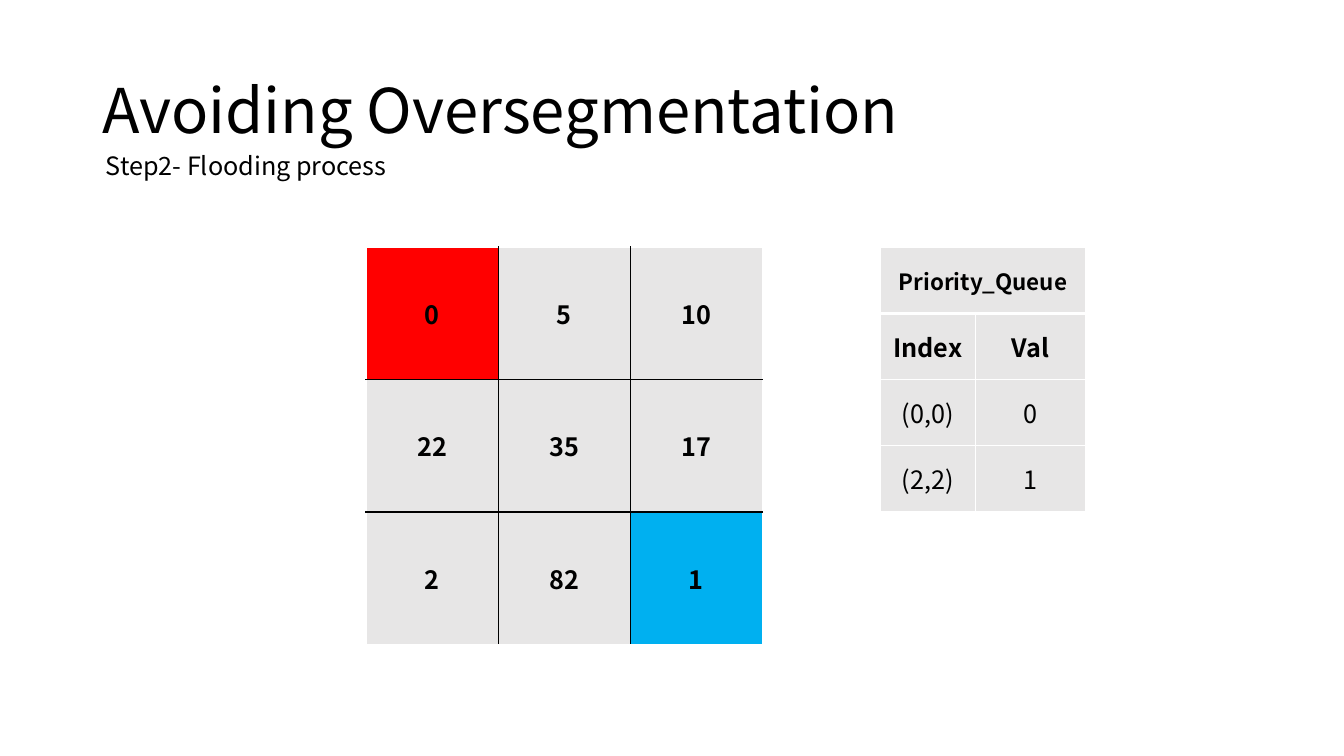
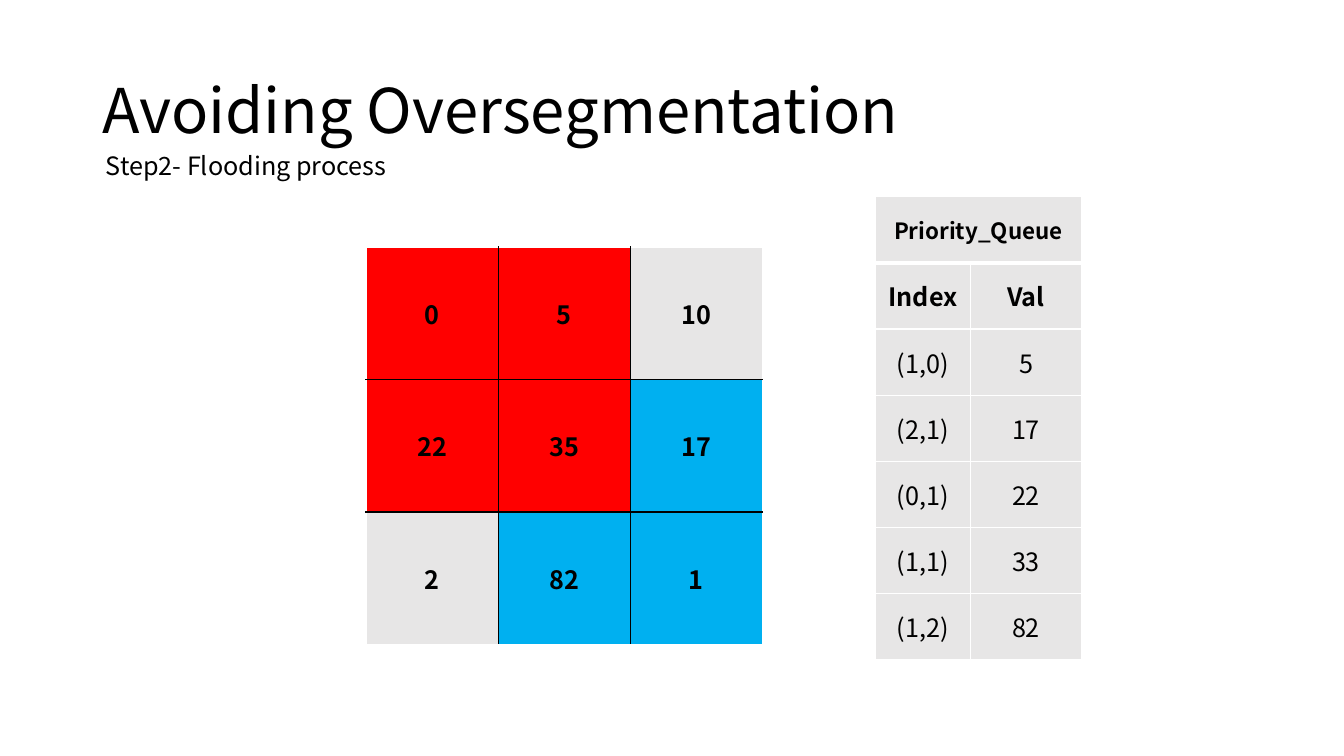
"""Build two slides that show the flooding step with a pixel grid and its priority queue."""
from lxml.etree import SubElement
from pptx import Presentation
from pptx.dml.color import RGBColor
from pptx.enum.text import MSO_ANCHOR, MSO_AUTO_SIZE, PP_ALIGN
from pptx.oxml.ns import qn
from pptx.util import Pt

FONT = "Noto Sans CJK KR"
COLORS = {"text": "000000", "white": "FFFFFF", "plain": "E7E6E6",
          "red": "FF0000", "blue": "00B0F0"}
REGIONS = {"-": "plain", "R": "red", "B": "blue"}

TITLE = "Avoiding Oversegmentation"
SUBTITLE = "Step2- Flooding process"
PIXELS = [[0, 5, 10], [22, 35, 17], [2, 82, 1]]
QUEUE_TITLE = "Priority_Queue"
QUEUE_HEADINGS = ("Index", "Val")
STEPS = [
    {"regions": ["R--", "---", "--B"],
     "queue": [("(0,0)", 0), ("(2,2)", 1)],
     "queue_at": (628.6, 176.6)},
    {"regions": ["RR-", "RRB", "-BB"],
     "queue": [("(1,0)", 5), ("(2,1)", 17), ("(0,1)", 22), ("(1,1)", 33), ("(1,2)", 82)],
     "queue_at": (625.2, 140.4)},
]

TITLE_BOX = (66, 28.8, 828, 104.4)
SUBTITLE_BOX = (68.4, 103.7, 447, 29.1)
GRID_AT = (261.4, 176.4)
GRID_WIDTHS, GRID_ROW = [94.4] * 3, 94.7
QUEUE_WIDTHS, QUEUE_ROW = [68.2, 79], 47.3


def style_paragraph(paragraph, size, bold=False, align=PP_ALIGN.LEFT):
    paragraph.alignment = align
    font = paragraph.font
    font.name, font.size, font.bold = FONT, Pt(size), bold
    font.color.rgb = RGBColor.from_string(COLORS["text"])


def set_border(cell, side, color, width):
    line = SubElement(cell._tc.get_or_add_tcPr(), qn(f"a:ln{side}"), w=str(Pt(width)))
    fill = SubElement(line, qn("a:solidFill"))
    SubElement(fill, qn("a:srgbClr"), val=COLORS[color])


def style_cell(cell, text, size, bold, fill, borders):
    cell.text = str(text)
    cell.vertical_anchor = MSO_ANCHOR.MIDDLE
    style_paragraph(cell.text_frame.paragraphs[0], size, bold, PP_ALIGN.CENTER)
    for side, (color, width) in borders.items():
        set_border(cell, side, color, width)
    cell.fill.solid()
    cell.fill.fore_color.rgb = RGBColor.from_string(COLORS[fill])


def add_plain_table(slide, position, widths, row_height, row_count):
    left, top = position
    table = slide.shapes.add_table(row_count, len(widths), Pt(left), Pt(top),
                                   Pt(sum(widths)), Pt(row_height * row_count)).table
    table.first_row = table.horz_banding = False
    for column, width in zip(table.columns, widths):
        column.width = Pt(width)
    for row in table.rows:
        row.height = Pt(row_height)
    return table


def add_pixel_grid(slide, regions):
    table = add_plain_table(slide, GRID_AT, GRID_WIDTHS, GRID_ROW, len(PIXELS))
    last = len(PIXELS) - 1
    for r, values in enumerate(PIXELS):
        for c, value in enumerate(values):
            inner = {"L": c > 0, "R": c < last, "T": r > 0, "B": r < last}
            borders = {side: ("text", 1) for side, drawn in inner.items() if drawn}
            style_cell(table.cell(r, c), value, 18, True, REGIONS[regions[r][c]], borders)


def add_queue(slide, entries, position):
    rows = [(QUEUE_TITLE, ""), QUEUE_HEADINGS, *entries]
    table = add_plain_table(slide, position, QUEUE_WIDTHS, QUEUE_ROW, len(rows))
    table.cell(0, 0).merge(table.cell(0, 1))
    for r, values in enumerate(rows):
        widths = {"L": 1, "R": 1, "T": 3 if r == 1 else 1, "B": 3 if r == 0 else 1}
        borders = {side: ("white", width) for side, width in widths.items()}
        for c, value in enumerate(values):
            style_cell(table.cell(r, c), value, 16 if r == 0 else 18, r < 2, "plain", borders)


def add_headings(slide):
    title = slide.shapes.title
    title.left, title.top, title.width, title.height = map(Pt, TITLE_BOX)
    title.text_frame.text = TITLE
    title.text_frame.vertical_anchor = MSO_ANCHOR.MIDDLE
    heading = title.text_frame.paragraphs[0]
    heading.line_spacing = 0.9
    style_paragraph(heading, 44)

    frame = slide.shapes.add_textbox(*map(Pt, SUBTITLE_BOX)).text_frame
    frame.word_wrap = True
    frame.auto_size = MSO_AUTO_SIZE.SHAPE_TO_FIT_TEXT
    frame.text = SUBTITLE
    style_paragraph(frame.paragraphs[0], 18)


def main():
    presentation = Presentation()
    presentation.slide_width, presentation.slide_height = Pt(960), Pt(540)
    for step in STEPS:
        slide = presentation.slides.add_slide(presentation.slide_layouts[5])
        add_headings(slide)
        add_pixel_grid(slide, step["regions"])
        add_queue(slide, step["queue"], step["queue_at"])
    presentation.save("out.pptx")


if __name__ == "__main__":
    main()
